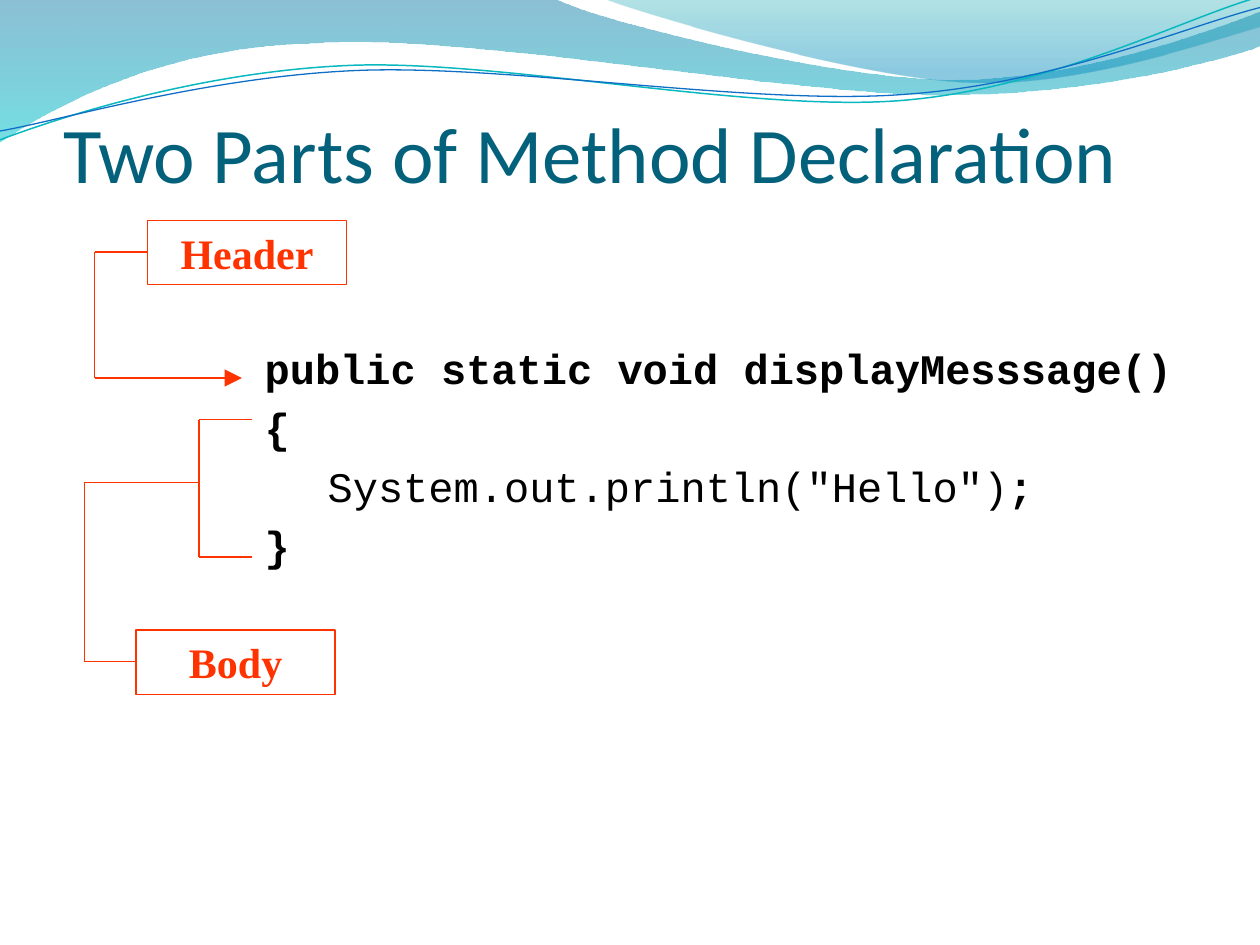
import pptx
import pptx.util
import pptx.dml.color
import pptx.enum.shapes
import pptx.enum.text
import pptx.oxml.ns
from lxml import etree

W, H = 10, 7.5
COLORS = {"title": "04617B", "code": "000000", "accent": "FF3300",
          "teal": "0AB8BF", "blue": "0F6FC6"}
TITLE = "Two Parts of Method Declaration"
CODE = [
    [("public static void displayMesssage()", True)],
    [("{", True)],
    [('\t System.out.println("Hello")', False), (";", True)],
    [("}", True)],
]
LABELS = [("Header", 1.17, 1.75), ("Body", 1.08, 5)]
ROUTES = [
    ([(2, 3.33), (1.58, 3.33), (1.58, 4.42), (2, 4.42)], False),
    ([(1.58, 3.83), (0.67, 3.83), (0.67, 5.25), (1.08, 5.25)], False),
    ([(1.17, 2), (0.75, 2), (0.75, 3), (1.92, 3)], True),
]
BANDS = [
    ([(0, 0), (4.4, -0.01),
      (4.76, 0.17, 6.64, 0.63, 7.58, 0.63), (8.53, 0.63, 9.58, 0.26, 10, 0.09),
      (10.01, 0.36),
      (9.83, 0.44, 8.7, 0.76, 7.46, 0.75), (6.22, 0.75, 3.82, 0.28, 2.57, 0.34),
      (1.29, 0.36, 0.46, 0.83, -0.01, 1.13), (0, 0)],
     [(0, "0074A1", 45), (1, "00C6CF", 55)]),
    ([(4.79, -0.01),
      (5.09, 0.11, 6.82, 0.62, 7.69, 0.65), (8.56, 0.69, 9.61, 0.32, 10, 0.21),
      (10, 0), (4.79, -0.01)],
     [(0, "00A1A9", 30), (0.8, "008BBF", 45)]),
]
WAVES = [
    ([(0, 1.11), (0.48, 0.93, 1.58, 0.57, 2.77, 0.52),
      (3.95, 0.47, 5.93, 0.89, 7.13, 0.8), (8.33, 0.71, 9.38, 0.15, 9.98, -0.02)],
     "teal", 0.85),
    ([(0, 1.04), (0.47, 0.96, 1.64, 0.61, 2.83, 0.56),
      (4.03, 0.51, 5.97, 0.84, 7.17, 0.75), (8.36, 0.67, 9.41, 0.21, 10, 0.06)],
     "blue", 0.75),
]
inch = pptx.util.Inches
qn = pptx.oxml.ns.qn


def rgb(value):
    return pptx.dml.color.RGBColor.from_string(COLORS.get(value, value))


def set_font(font, name, size, color, bold=None):
    font.name, font.size, font.bold = name, pptx.util.Pt(size), bold
    font.color.rgb = rgb(color)


def set_line(line, color, width=0.75):
    line.color.rgb = rgb(color)
    line.width = pptx.util.Pt(width)


def place(shape, left, top, width, height):
    shape.left, shape.top = inch(left), inch(top)
    shape.width, shape.height = inch(width), inch(height)


def add_curve(shapes, segments, close):
    points = [(inch(seg[i]), inch(seg[i + 1]))
              for seg in segments for i in range(0, len(seg), 2)]
    builder = shapes.build_freeform(*points[0])
    builder.add_line_segments(points[1:], close=close)
    sp = builder.convert_to_shape()
    sp.shadow.inherit = False
    nodes = iter(list(sp._element.spPr.iter(qn("a:lnTo"))))
    for seg in segments[1:]:
        node = next(nodes)
        if len(seg) == 6:
            curve = etree.Element(qn("a:cubicBezTo"))
            node.addprevious(curve)
            for part in (node, next(nodes), next(nodes)):
                curve.append(part[0])
                part.getparent().remove(part)
    return sp


def add_band(shapes, segments, stops):
    sp = add_curve(shapes, segments, True)
    sp.line.fill.background()
    sp.fill.gradient()
    sp.fill.gradient_angle = 270
    for stop, (position, color, _) in zip(sp.fill.gradient_stops, stops):
        stop.position = position
        stop.color.rgb = rgb(color)
    for node, (_, _, opacity) in zip(sp._element.spPr.iter(qn("a:srgbClr")), stops):
        etree.SubElement(node, qn("a:alpha")).set("val", str(opacity * 1000))


def add_wave(shapes, segments, color, width):
    sp = add_curve(shapes, segments, False)
    sp.fill.background()
    set_line(sp.line, color, width)


def add_label(shapes, text, left, top):
    sp = shapes.add_shape(pptx.enum.shapes.MSO_SHAPE.RECTANGLE,
                          inch(left), inch(top), inch(1.58), inch(0.51))
    sp.shadow.inherit = False
    sp.fill.background()
    set_line(sp.line, "accent")
    p = sp.text_frame.paragraphs[0]
    p.text = text
    p.alignment = pptx.enum.text.PP_ALIGN.CENTER
    set_font(p.font, "Times New Roman", 24, "accent", True)


def add_route(shapes, points, arrow):
    for start, end in zip(points, points[1:]):
        line = shapes.add_connector(pptx.enum.shapes.MSO_CONNECTOR.STRAIGHT,
                                    *map(inch, start + end))
        set_line(line.line, "accent")
        etree.SubElement(line._element.spPr, qn("a:effectLst"))
    if arrow:
        tail = etree.SubElement(line.line._get_or_add_ln(), qn("a:tailEnd"))
        for key, value in (("type", "triangle"), ("w", "lg"), ("len", "lg")):
            tail.set(key, value)


def fill_title(title):
    place(title, 0.5, 0.33, W - 1, 1.25)
    tf = title.text_frame
    tf.vertical_anchor = pptx.enum.text.MSO_ANCHOR.BOTTOM
    tf.margin_left = tf.margin_right = tf.margin_bottom = 0
    p = tf.paragraphs[0]
    p.text = TITLE
    p.alignment = pptx.enum.text.PP_ALIGN.LEFT
    set_font(p.font, "Calibri", 45, "title")


def fill_code(body):
    place(body, 2, 2.67, 7.58, 2.33)
    tf = body.text_frame
    for i, runs in enumerate(CODE):
        p = tf.add_paragraph() if i else tf.paragraphs[0]
        set_font(p.font, "Courier New", 24, "code")
        pPr = p._p.get_or_add_pPr()
        pPr.set("marL", str(inch(0.3)))
        pPr.set("indent", str(inch(-0.3)))
        pPr.insert(0, etree.Element(qn("a:buNone")))
        for text, bold in runs:
            r = p.add_run()
            r.text, r.font.bold = text, bold


def main():
    prs = pptx.Presentation()
    prs.slide_width, prs.slide_height = inch(W), inch(H)
    s = prs.slides.add_slide(prs.slide_layouts[1])
    title, body = s.placeholders
    for segments, stops in BANDS:
        add_band(s.shapes, segments, stops)
    for segments, color, width in WAVES:
        add_wave(s.shapes, segments, color, width)
    for placeholder, fill in ((title, fill_title), (body, fill_code)):
        fill(placeholder)
        s.shapes._spTree.append(placeholder._element)
    for label in LABELS:
        add_label(s.shapes, *label)
    for points, arrow in ROUTES:
        add_route(s.shapes, points, arrow)
    prs.save("out.pptx")


if __name__ == "__main__":
    main()
